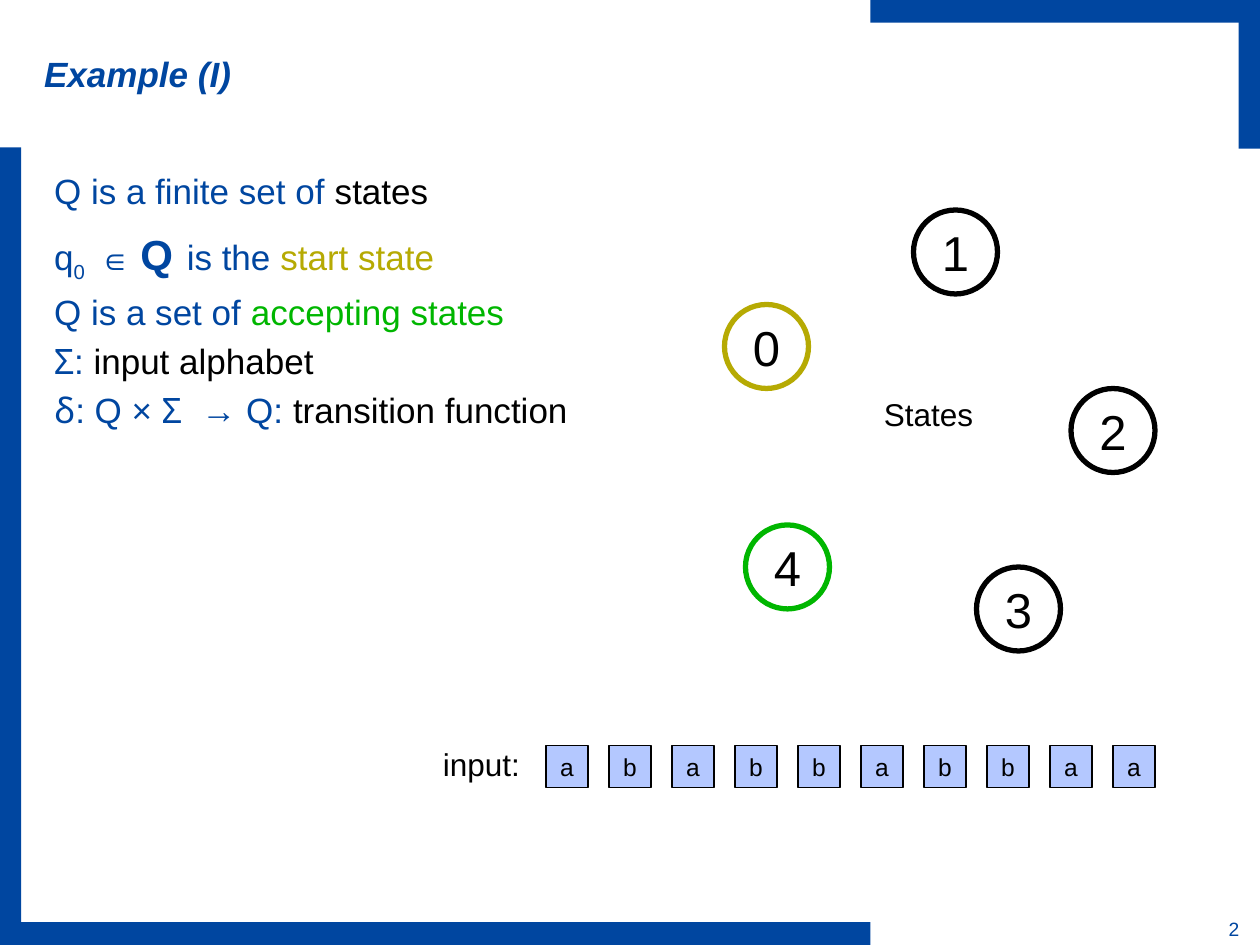
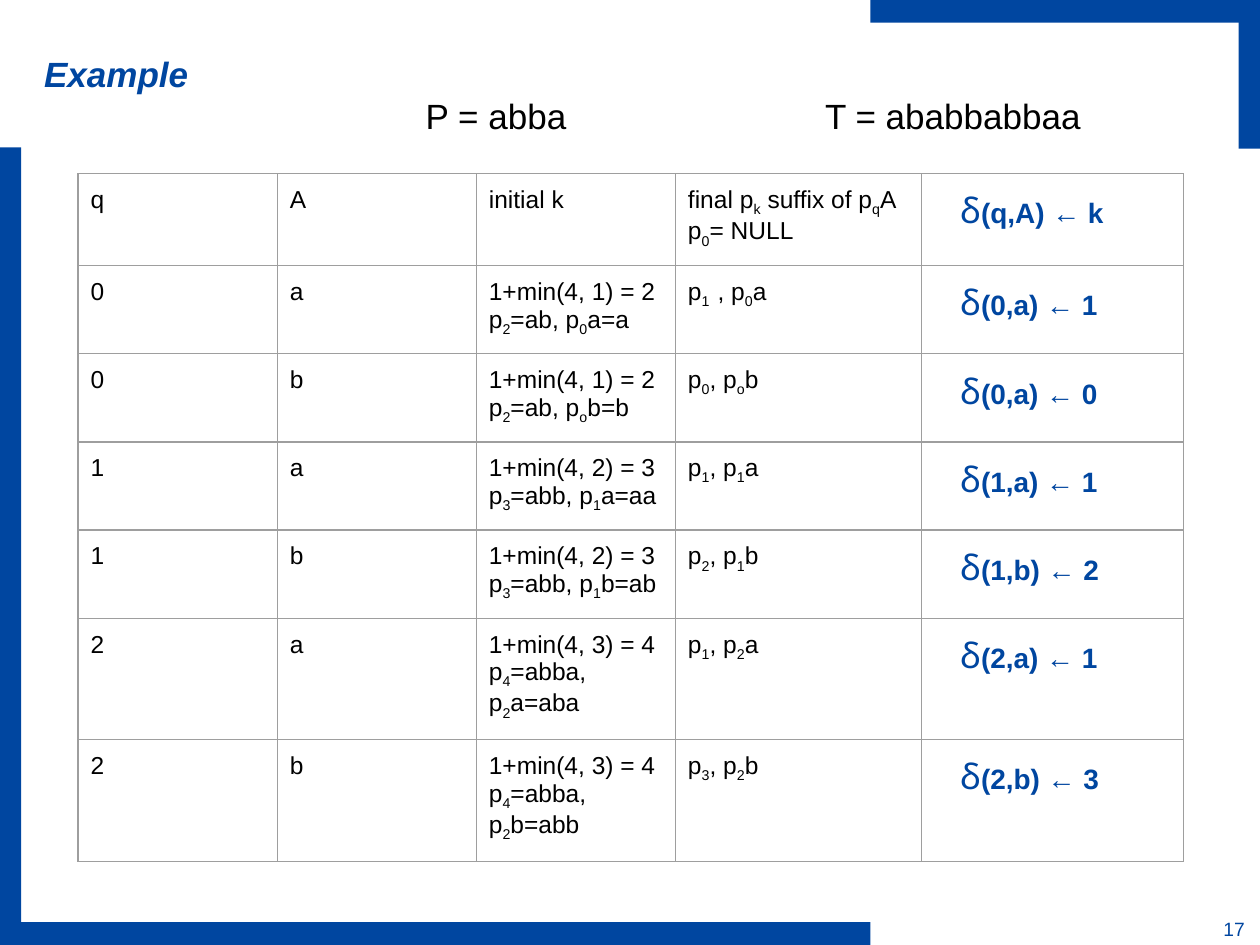
from lxml.etree import SubElement
from pptx import Presentation
from pptx.dml.color import RGBColor
from pptx.enum.shapes import MSO_SHAPE as SHAPE
from pptx.enum.text import MSO_ANCHOR as ANCHOR, PP_ALIGN as ALIGN
from pptx.oxml.ns import qn
from pptx.util import Pt

BLUE, BLACK, GOLD, GREEN = "0046A0", "000000", "B6AA03", "00B600"
TILE, GRID = "B4C8FF", "9E9E9E"
SANS, GREEK = "Arial", "Noto Sans"
BANDS = [(0, 527, 497.4, 13), (0, 84.2, 12.2, 455.8),
         (497.4, 0, 222.6, 13), (707.8, 0, 12.2, 85)]

DEFINITIONS = [
    [("Q is a finite set of ", {}), ("states", {"color": BLACK})],
    [("q", {}), ("0 ", {"sub": True}), (" ∈", {"size": 18}), (" ", {}),
     ("Q", {"size": 24, "bold": True}), (" ", {"size": 28}),
     ("is the ", {}), ("start state", {"color": GOLD})],
    [("Q is a set of ", {}), ("accepting states", {"color": GREEN})],
    [("Σ", {"font": GREEK}), (": ", {}), ("input alphabet", {"color": BLACK})],
    [("δ", {"font": GREEK}), (": Q × ", {}), ("Σ", {"font": GREEK}),
     ("  → Q: ", {}), ("transition function", {"color": BLACK})],
]
SPACE_BEFORE = [0, 5.6, 4, 4, 4]
STATES = [("0", 414, 174, GOLD), ("1", 522, 120, BLACK), ("4", 426, 300, GREEN),
          ("2", 612, 222, BLACK), ("3", 558, 324, BLACK)]
TEXT, PATTERN = "ababbabbaa", "abba"
COLUMN_WIDTHS = [113.8, 113.8, 113.8, 140.4, 149.8]
HEADER = ["q", "A", "initial k", "final p_k_ suffix of p_q_A\np_0_= NULL", "(q,A) ← k"]
STEPS = [(0, "a", "0", "1  ", "(0,a) ← 1"), (0, "b", "o", "0", "(0,a) ← 0"),
         (1, "a", "1", "1", "(1,a) ← 1"), (1, "b", "1", "2", "(1,b) ← 2"),
         (2, "a", "2", "1", "(2,a) ← 1"), (2, "b", "2", "3", "(2,b) ← 3")]


def rgb(code):
    """Turn a hex string into a colour."""
    return RGBColor.from_string(code)


def add_run(p, text, size=20, color=BLUE, font=SANS, bold=False, italic=False, sub=False):
    """Append one formatted run to a paragraph."""
    r = p.add_run()
    r.text = text
    f = r.font
    f.size, f.name, f.bold, f.italic = Pt(size), font, bold, italic
    f.color.rgb = rgb(color)
    if sub:
        r._r.get_or_add_rPr().set("baseline", "-25000")


def add_indexed(p, text, **style):
    """Add text in which the parts between underscores are subscripts."""
    for i, part in enumerate(text.split("_")):
        if part:
            add_run(p, part, sub=i % 2 == 1, **style)


def add_frame(slide, left, top, width, height, pad=7.2, pad_top=3.6):
    """Add a wrapping text box and return its text frame."""
    tf = slide.shapes.add_textbox(Pt(left), Pt(top), Pt(width), Pt(height)).text_frame
    tf.word_wrap = True
    tf.margin_left, tf.margin_top = Pt(pad), Pt(pad_top)
    return tf


def add_label(slide, text, left, top, width, height, size, pad_top=3.6):
    """Add a one-line black label."""
    tf = add_frame(slide, left, top, width, height, pad_top=pad_top)
    add_run(tf.paragraphs[0], text, size, BLACK)


def add_node(slide, kind, box, fill=None, line=None, weight=0.75, text="", size=14):
    """Add a preset shape with optional outline and centred text."""
    sp = slide.shapes.add_shape(kind, *map(Pt, box))
    sp.shadow.inherit = False
    if fill:
        sp.fill.solid()
        sp.fill.fore_color.rgb = rgb(fill)
    else:
        sp.fill.background()
    if line:
        sp.line.color.rgb = rgb(line)
        sp.line.width = Pt(weight)
    else:
        sp.line.fill.background()
    if text:
        tf = sp.text_frame
        tf.vertical_anchor = ANCHOR.MIDDLE
        p = tf.paragraphs[0]
        p.alignment = ALIGN.CENTER
        add_run(p, text, size, BLACK)


def add_slide(prs, title, number):
    """Add a slide with the bands, the title and the page number."""
    slide = prs.slides.add_slide(prs.slide_layouts[6])
    for band in BANDS:
        add_node(slide, SHAPE.RECTANGLE, band, BLUE)
    p = add_frame(slide, 691.2, 520.6, 28, 20).paragraphs[0]
    p.alignment = ALIGN.CENTER
    add_run(p, str(number), 11)
    tf = add_frame(slide, 0, 0, 493.2, 84.2, pad=25.2)
    tf.vertical_anchor = ANCHOR.MIDDLE
    add_run(tf.paragraphs[0], title, bold=True, italic=True)
    return slide


def add_definitions(slide):
    """List the parts of the automaton."""
    tf = add_frame(slide, 23.8, 93.6, 332.6, 194.4)
    for i, runs in enumerate(DEFINITIONS):
        p = tf.add_paragraph() if i else tf.paragraphs[0]
        p.space_before = Pt(SPACE_BEFORE[i])
        for text, style in runs:
            add_run(p, text, **style)


def outline_cell(cell):
    """Give a cell thin grey borders, even margins and no fill."""
    tc_pr = cell._tc.get_or_add_tcPr()
    for side in ("lnL", "lnR", "lnT", "lnB"):
        ln = SubElement(tc_pr, qn("a:" + side), w=str(Pt(0.75)))
        SubElement(SubElement(ln, qn("a:solidFill")), qn("a:srgbClr"), val=GRID)
    cell.fill.background()
    cell.margin_left = cell.margin_right = Pt(7.2)
    cell.margin_top = cell.margin_bottom = Pt(7.2)


def fill_cell(cell, text, is_rule):
    """Write a cell, with a leading delta in the transition column."""
    outline_cell(cell)
    tf = cell.text_frame
    if is_rule:
        p = tf.paragraphs[0]
        p.space_before = Pt(4)
        p._p.get_or_add_pPr().set("marL", str(Pt(15)))
        add_run(p, "δ", font=GREEK)
        add_run(p, text, 16, bold=True)
        return
    for i, line in enumerate(text.split("\n")):
        p = tf.add_paragraph() if i else tf.paragraphs[0]
        add_indexed(p, line, size=14, color=BLACK)


def step_cells(q, letter, index, final, rule):
    """Work out the cell texts of one transition step."""
    k = q + 2
    initial = (f"1+min({len(PATTERN)}, {q + 1}) = {k}\n"
               f"p_{k}_={PATTERN[:k]}, p_{index}_{letter}={PATTERN[:q]}{letter}")
    return [str(q), letter, initial, f"p_{final}_, p_{index}_{letter}", rule]


def add_transitions(slide):
    """Add the table of transition steps."""
    rows = [HEADER] + [step_cells(*step) for step in STEPS]
    table = slide.shapes.add_table(len(rows), len(HEADER), Pt(44.6), Pt(99.2),
                                   Pt(sum(COLUMN_WIDTHS)), Pt(30 * len(rows))).table
    table.first_row = table.horz_banding = False
    for column, width in zip(table.columns, COLUMN_WIDTHS):
        column.width = Pt(width)
    for i, row in enumerate(rows):
        for j, text in enumerate(row):
            fill_cell(table.cell(i, j), text, j == len(row) - 1)


def build_automaton(prs):
    """Build the slide with the states and the input."""
    slide = add_slide(prs, "Example (I)", 2)
    add_definitions(slide)
    for name, left, top, color in STATES:
        add_node(slide, SHAPE.OVAL, (left, top, 48, 48), None, color, 3, name, 28)
    for i, letter in enumerate(TEXT):
        add_node(slide, SHAPE.RECTANGLE, (312 + 36 * i, 426, 24, 24),
                 TILE, BLACK, text=letter)
    add_label(slide, "input:", 246, 422, 62, 29, 18)
    add_label(slide, "States", 498, 222, 70, 29, 18)


def build_steps(prs):
    """Build the slide with the transition table."""
    slide = add_slide(prs, "Example", 17)
    add_transitions(slide)
    add_label(slide, "T = " + TEXT, 464.4, 46.8, 223.2, 39, 20, 7.2)
    add_label(slide, "P = " + PATTERN, 236.2, 46.8, 223.2, 39, 20, 7.2)


def main():
    """Build and save the presentation."""
    prs = Presentation()
    prs.slide_width, prs.slide_height = Pt(720), Pt(540)
    build_automaton(prs)
    build_steps(prs)
    prs.save("out.pptx")


if __name__ == "__main__":
    main()
